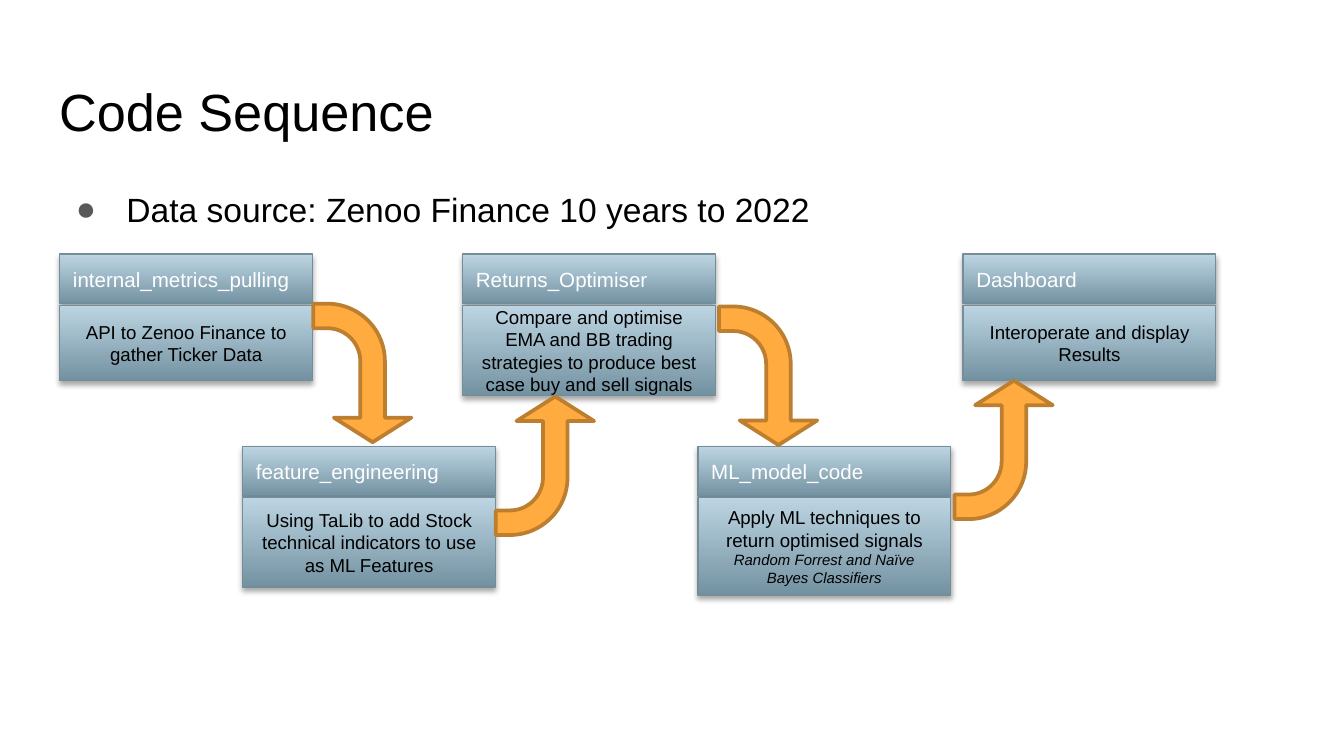
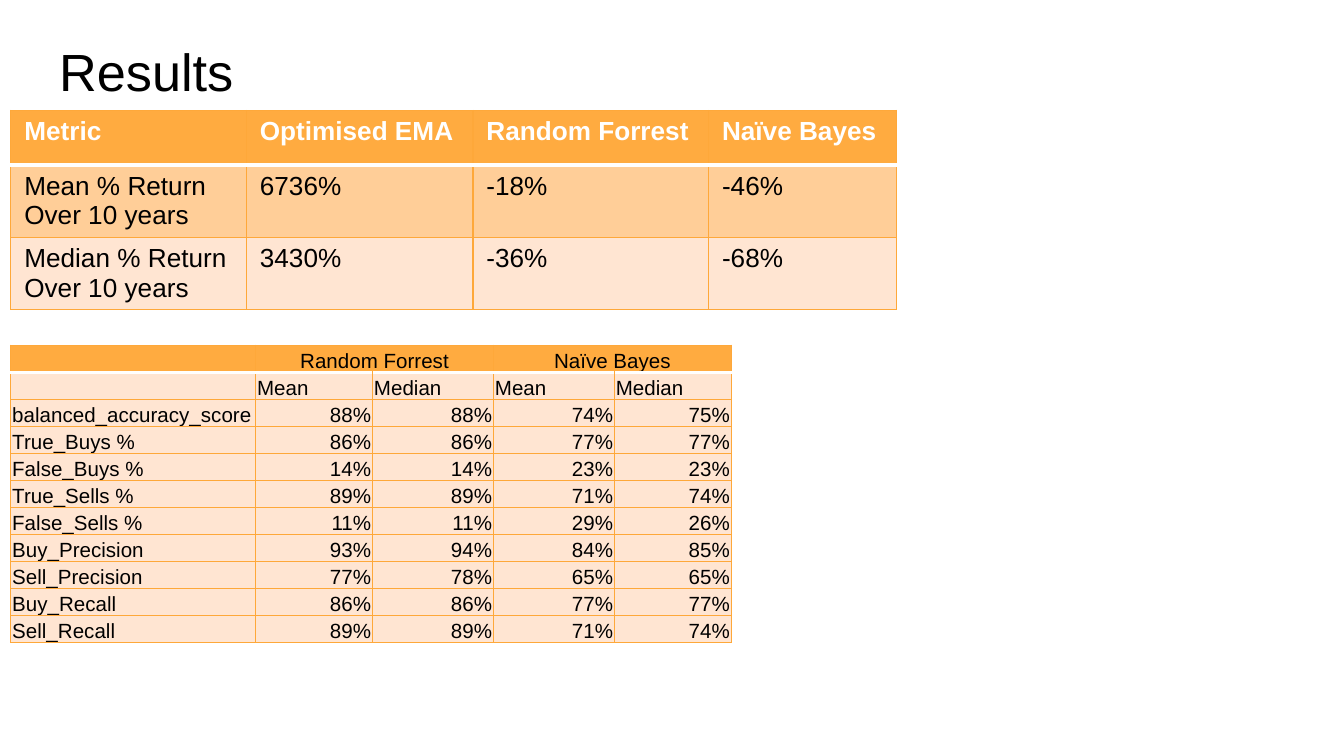
"""Build two slides: a code sequence diagram and its results tables."""

import dataclasses

import lxml.etree
import pptx
import pptx.dml.color
import pptx.enum.shapes
import pptx.enum.text
import pptx.oxml.ns
import pptx.util

Pt = pptx.util.Pt
Align = pptx.enum.text.PP_ALIGN
Anchor = pptx.enum.text.MSO_ANCHOR
Shape = pptx.enum.shapes.MSO_SHAPE


@dataclasses.dataclass(frozen=True)
class Theme:
    font: str = "Arial"
    text: str = "000000"
    white: str = "FFFFFF"
    bullet: str = "595959"
    panel_dark: str = "7392A1"
    panel_light: str = "BDD5E2"
    panel_line: str = "748D99"
    accent: str = "FFAB40"
    accent_line: str = "BD7F2F"
    grid: str = "FEA83A"
    band: str = "FFCE98"
    pale: str = "FFE5D2"
    title_size: float = 28
    list_size: float = 18
    table_size: float = 14
    heading_size: float = 11
    panel_size: float = 10
    note_size: float = 8


def rgb(value):
    return pptx.dml.color.RGBColor.from_string(value)


def add_element(parent, tag, **attributes):
    return lxml.etree.SubElement(parent, pptx.oxml.ns.qn(tag), attributes)


class Deck:
    title_layout = 5
    list_layout = 1

    def __init__(self, theme):
        self.theme = theme
        self.presentation = pptx.Presentation()
        self.presentation.slide_width = Pt(720)
        self.presentation.slide_height = Pt(405)
        self.slide = None

    def add_slide(self, title, top, layout):
        layouts = self.presentation.slide_layouts
        self.slide = self.presentation.slides.add_slide(layouts[layout])
        self.fill_placeholder(self.slide.shapes.title, title, top, 45.4, self.theme.title_size)

    def fill_placeholder(self, shape, text, top, height, size):
        shape.left, shape.top = Pt(24.5), Pt(top)
        shape.width, shape.height = Pt(671), Pt(height)
        frame = shape.text_frame
        frame.text = text
        frame.word_wrap = True
        frame.auto_size = pptx.enum.text.MSO_AUTO_SIZE.NONE
        frame.vertical_anchor = Anchor.TOP
        frame.margin_left = frame.margin_right = Pt(7.2)
        frame.margin_top = frame.margin_bottom = Pt(7.2)
        for paragraph in frame.paragraphs:
            self.format_paragraph(paragraph, size)

    def format_paragraph(self, paragraph, size, color=None, alignment=Align.LEFT,
                         bold=False, italic=False):
        paragraph.alignment = alignment
        paragraph.space_before = Pt(0)
        for run in paragraph.runs:
            run.font.name = self.theme.font
            run.font.size = Pt(size)
            run.font.bold = bold
            run.font.italic = italic
            run.font.color.rgb = rgb(color or self.theme.text)

    def add_list(self, items, top, height):
        body = self.slide.placeholders[1]
        self.fill_placeholder(body, "\n".join(items), top, height, self.theme.list_size)
        for paragraph in body.text_frame.paragraphs:
            paragraph.line_spacing = 1.15
            properties = paragraph._p.get_or_add_pPr()
            properties.set("marL", str(Pt(36)))
            properties.set("indent", str(Pt(-27)))
            color = add_element(properties, "a:buClr")
            add_element(color, "a:srgbClr", val=self.theme.bullet)
            add_element(properties, "a:buChar", char="●")

    def add_panel(self, shapes, text, left, top, height):
        shape = shapes.add_shape(Shape.RECTANGLE, Pt(left), Pt(top), Pt(135.4), Pt(height))
        shape.fill.gradient()
        shape.fill.gradient_angle = 90
        colors = (self.theme.panel_dark, self.theme.panel_light)
        for stop, color in zip(shape.fill.gradient_stops, colors):
            stop.color.rgb = rgb(color)
        shape.line.color.rgb = rgb(self.theme.panel_line)
        shape.line.width = Pt(0.75)
        shape.shadow.inherit = False
        effects = shape.element.spPr.find(pptx.oxml.ns.qn("a:effectLst"))
        shadow = add_element(effects, "a:outerShdw", blurRad=str(Pt(3.1)), dist=str(Pt(1.8)),
                             dir="5400000", algn="ctr", rotWithShape="0")
        color = add_element(shadow, "a:srgbClr", val=self.theme.text)
        add_element(color, "a:alpha", val="35000")
        shape.text_frame.text = text
        shape.text_frame.word_wrap = True
        shape.text_frame.vertical_anchor = Anchor.MIDDLE
        return shape.text_frame.paragraphs

    def add_step(self, name, text, left, top, height):
        group = self.slide.shapes.add_group_shape()
        heading = self.add_panel(group.shapes, name, left, top, 26.6)
        self.format_paragraph(heading[0], self.theme.heading_size, self.theme.white)
        description, *notes = self.add_panel(group.shapes, text, left, top + 27.4, height)
        self.format_paragraph(description, self.theme.panel_size, alignment=Align.CENTER)
        for note in notes:
            self.format_paragraph(note, self.theme.note_size, alignment=Align.CENTER, italic=True)

    def add_arrow(self, left, top, upward):
        shape = self.slide.shapes.add_shape(
            Shape.BENT_ARROW, Pt(left), Pt(top), Pt(74.2), Pt(52.6))
        shape.rotation = 90
        if upward:
            shape.element.spPr.find(pptx.oxml.ns.qn("a:xfrm")).set("flipH", "1")
        for index, value in enumerate((0.25, 0.395, 0.25, 0.587)):
            shape.adjustments[index] = value
        shape.fill.solid()
        shape.fill.fore_color.rgb = rgb(self.theme.accent)
        shape.line.color.rgb = rgb(self.theme.accent_line)
        shape.line.width = Pt(2)
        shape.shadow.inherit = False

    def add_borders(self, cell, row):
        properties = cell._tc.get_or_add_tcPr()
        header_edge = {"a:lnB": 0, "a:lnT": 1}
        for tag in ("a:lnL", "a:lnR", "a:lnT", "a:lnB"):
            on_edge = header_edge.get(tag) == row
            line = add_element(properties, tag, w=str(Pt(2 if on_edge else 0.75)))
            fill = add_element(line, "a:solidFill")
            add_element(fill, "a:srgbClr", val=self.theme.white if on_edge else self.theme.grid)

    def format_cell(self, cell, text, row, fill, compact):
        cell.text = text or ""
        self.add_borders(cell, row)
        cell.fill.solid()
        cell.fill.fore_color.rgb = rgb(fill)
        size, color, alignment = self.theme.table_size, self.theme.text, Align.LEFT
        if compact:
            size = self.theme.heading_size
            cell.vertical_anchor = Anchor.BOTTOM
            cell.margin_left = cell.margin_right = cell.margin_top = Pt(0.75)
            cell.margin_bottom = Pt(0)
            if row == 0:
                alignment = Align.CENTER
            elif text[:1].isdigit():
                alignment = Align.RIGHT
        elif row == 0:
            color = self.theme.white
        for paragraph in cell.text_frame.paragraphs:
            self.format_paragraph(paragraph, size, color, alignment,
                                  bold=row == 0 and not compact)
            if not paragraph.runs:
                add_element(paragraph._p, "a:endParaRPr", sz=str(size * 100))

    def add_table(self, rows, fills, top, widths, row_height, compact=False):
        frame = self.slide.shapes.add_table(
            len(rows), len(widths), Pt(5.8), Pt(top),
            Pt(sum(widths)), Pt(row_height * len(rows)))
        table = frame.table
        table.first_row = table.horz_banding = False
        for column, width in zip(table.columns, widths):
            column.width = Pt(width)
        for row, (texts, fill) in enumerate(zip(rows, fills)):
            table.rows[row].height = Pt(row_height)
            for column, text in enumerate(texts):
                self.format_cell(table.cell(row, column), text, row, fill, compact)
        for column, text in enumerate(rows[0]):
            if text is None:
                table.cell(0, column - 1).merge(table.cell(0, column))


def build_sequence(deck):
    deck.add_slide("Code Sequence", 35.3, deck.list_layout)
    deck.add_list(["Data source: Zenoo Finance 10 years to 2022"], 90.7, 269.3)
    upper, lower = 136.2, 239.2
    steps = [
        ("internal_metrics_pulling", "API to Zenoo Finance to gather Ticker Data",
         32, upper, 40.3),
        ("feature_engineering",
         "Using TaLib to add Stock technical indicators to use as ML Features",
         130, lower, 47.9),
        ("Returns_Optimiser",
         "Compare and optimise EMA and BB trading strategies to produce best case "
         "buy and sell signals", 247.8, upper, 48.4),
        ("ML_model_code",
         "Apply ML techniques to return optimised signals\n"
         "Random Forrest and Naïve Bayes Classifiers", 373.9, lower, 52.2),
        ("Dashboard", "Interoperate and display Results", 515.9, upper, 40.3),
    ]
    for step in steps:
        deck.add_step(*step)
    arrows = [(157, 173.5, False), (374.4, 175, False), (254.9, 223.2, True), (500.6, 214.7, True)]
    for arrow in arrows:
        deck.add_arrow(*arrow)


def build_results(deck):
    theme = deck.theme
    deck.add_slide("Results", 13.7, deck.title_layout)
    returns = [
        ("Metric", "Optimised EMA", "Random Forrest", "Naïve Bayes"),
        ("Mean % Return\nOver 10 years", "6736%", "-18%", "-46%"),
        ("Median % Return\nOver 10 years", "3430%", "-36%", "-68%"),
    ]
    deck.add_table(returns, [theme.accent, theme.band, theme.pale], 59.2,
                   [126.2, 121.4, 126.2, 100.6], 29.2)
    scores = [
        ("", "Random Forrest", None, "Naïve Bayes", None),
        ("", "Mean", "Median", "Mean", "Median"),
        ("balanced_accuracy_score", "88%", "88%", "74%", "75%"),
        ("True_Buys %", "86%", "86%", "77%", "77%"),
        ("False_Buys %", "14%", "14%", "23%", "23%"),
        ("True_Sells %", "89%", "89%", "71%", "74%"),
        ("False_Sells %", "11%", "11%", "29%", "26%"),
        ("Buy_Precision", "93%", "94%", "84%", "85%"),
        ("Sell_Precision", "77%", "78%", "65%", "65%"),
        ("Buy_Recall", "86%", "86%", "77%", "77%"),
        ("Sell_Recall", "89%", "89%", "71%", "74%"),
    ]
    fills = [theme.accent] + [theme.pale] * (len(scores) - 1)
    deck.add_table(scores, fills, 185, [131.2, 62.6, 64.8, 64.8, 62.6], 14.5, compact=True)


def main():
    deck = Deck(Theme())
    build_sequence(deck)
    build_results(deck)
    deck.presentation.save("out.pptx")


if __name__ == "__main__":
    main()
